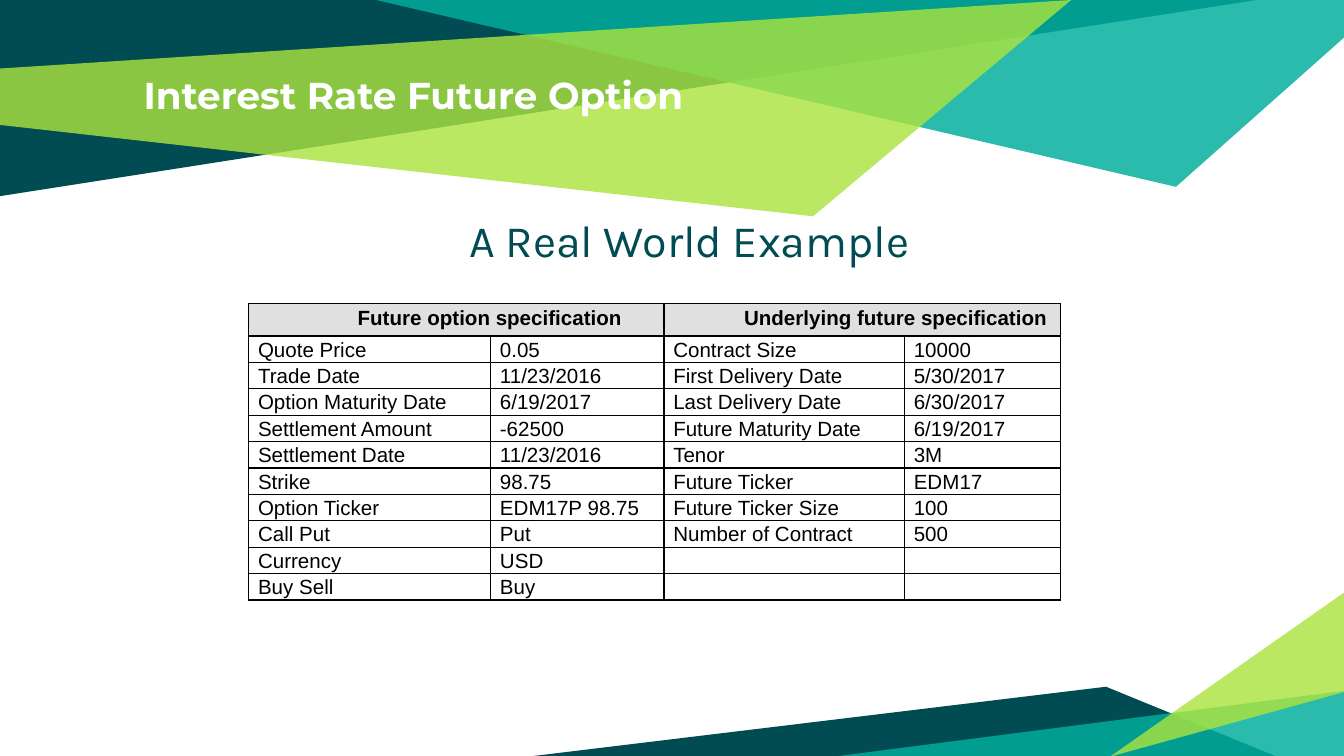
from lxml import etree
from pptx import Presentation
from pptx.dml.color import RGBColor
from pptx.enum.text import MSO_ANCHOR, PP_ALIGN
from pptx.oxml.ns import qn
from pptx.util import Inches, Pt

COLORS = {"dark": "004C52", "teal": "00AE9D", "lime": "ABE33F", "white": "FFFFFF",
          "black": "000000", "header": "E0E0E0"}
HEADERS = ["Future option specification", "Underlying future specification"]
ROWS = [
    ["Quote Price", "0.05", "Contract Size", "10000"],
    ["Trade Date", "11/23/2016", "First Delivery Date", "5/30/2017"],
    ["Option Maturity Date", "6/19/2017", "Last Delivery Date", "6/30/2017"],
    ["Settlement Amount", "-62500", "Future Maturity Date", "6/19/2017"],
    ["Settlement Date", "11/23/2016", "Tenor", "3M"],
    ["Strike", "98.75", "Future Ticker", "EDM17"],
    ["Option Ticker", "EDM17P 98.75", "Future Ticker Size", "100"],
    ["Call Put", "Put", "Number of Contract", "500"],
    ["Currency", "USD", "", ""],
    ["Buy Sell", "Buy", "", ""],
]
TOP_BAND = [
    ("dark", 100, [(0, 0), (0, 1.46), (9.35, 0)]),
    ("teal", 83, [(2.8, 0), (8.75, 1.39), (10, 0.28), (10, 0)]),
    ("lime", 81, [(0, 0.51), (0, 0.93), (6.05, 1.61), (7.97, 0)]),
]
BOTTOM_BAND = [
    ("dark", 100, [(0, 1.22), (5.57, 1.22), (4.3, 0.7)]),
    ("teal", 83, [(6.07, 0.73), (6.07, 1.22), (2.27, 1.22)]),
    ("lime", 81, [(6.07, 0.74), (6.07, 0), (4.33, 1.22)]),
]


def rgb(name):
    """Return the named palette colour."""
    return RGBColor.from_string(COLORS[name])


def add_band(slide, left, top, facets):
    """Draw overlapping facets whose points are relative to (left, top)."""
    for color, opacity, points in facets:
        corners = [(Inches(left + x), Inches(top + y)) for x, y in points]
        builder = slide.shapes.build_freeform(*corners[0], scale=1.0)
        builder.add_line_segments(corners[1:], close=True)
        facet = builder.convert_to_shape()
        facet.shadow.inherit = False
        facet.line.fill.background()
        facet.fill.solid()
        facet.fill.fore_color.rgb = rgb(color)
        if opacity < 100:
            fill_color = facet.fill._xPr.find(".//" + qn("a:srgbClr"))
            etree.SubElement(fill_color, qn("a:alpha"), val=str(opacity * 1000))


def write(paragraph, text, font, size, color, bold=False, indent=0, align=PP_ALIGN.LEFT):
    """Write one styled run into a paragraph, or size the paragraph if it is empty."""
    paragraph.alignment = align
    properties = paragraph._p.get_or_add_pPr()
    properties.set("marL", str(Inches(indent)))
    properties.set("indent", "0")
    if not text:
        etree.SubElement(paragraph._p, qn("a:endParaRPr"), sz=str(size * 100))
        return
    run = paragraph.add_run()
    run.text = text
    run.font.name, run.font.size, run.font.bold = font, Pt(size), bold
    run.font.color.rgb = rgb(color)


def add_text(slide, left, top, width, height, text, space_before=0, **style):
    """Add a wrapped, top-anchored text box with equal insets."""
    box = slide.shapes.add_textbox(Inches(left), Inches(top), Inches(width), Inches(height))
    frame = box.text_frame
    frame.word_wrap = True
    frame.vertical_anchor = MSO_ANCHOR.TOP
    frame.margin_left = frame.margin_right = Inches(0.1)
    frame.margin_top = frame.margin_bottom = Inches(0.1)
    frame.paragraphs[0].space_before = Pt(space_before)
    write(frame.paragraphs[0], text, **style)


def format_cell(cell, text, header=False):
    """Fill a cell with text, thin black borders and a background."""
    cell.margin_left = cell.margin_right = Inches(0.07)
    cell.margin_top = cell.margin_bottom = 0
    cell.vertical_anchor = MSO_ANCHOR.TOP if header else MSO_ANCHOR.MIDDLE
    properties = cell._tc.get_or_add_tcPr()
    for side in ("a:lnL", "a:lnR", "a:lnT", "a:lnB"):
        border = etree.SubElement(properties, qn(side), w=str(Pt(0.75)))
        fill = etree.SubElement(border, qn("a:solidFill"))
        etree.SubElement(fill, qn("a:srgbClr"), val=COLORS["black"])
    if header:
        cell.fill.solid()
        cell.fill.fore_color.rgb = rgb("header")
    else:
        cell.fill.background()
    paragraph = cell.text_frame.paragraphs[0]
    paragraph.line_spacing = 1.15 if header else 1.07
    write(paragraph, text, "Arial", 11, "black", bold=header, indent=0.5 if header else 0,
          align=PP_ALIGN.CENTER if header else PP_ALIGN.LEFT)


def add_specification(slide, left, top, widths):
    """Add the two-part specification table at (left, top)."""
    header_height, row_height = 0.24, 0.19
    frame = slide.shapes.add_table(
        len(ROWS) + 1, len(widths), Inches(left), Inches(top), Inches(sum(widths)),
        Inches(header_height + row_height * len(ROWS)))
    table = frame.table
    table.horz_banding = False
    for column, width in zip(table.columns, widths):
        column.width = Inches(width)
    for index, row in enumerate(table.rows):
        row.height = Inches(row_height if index else header_height)
    for index, text in enumerate(HEADERS):
        first, second = table.cell(0, 2 * index), table.cell(0, 2 * index + 1)
        first.merge(second)
        format_cell(first, text, header=True)
        format_cell(second, "", header=True)
    for r, values in enumerate(ROWS, 1):
        for c, text in enumerate(values):
            format_cell(table.cell(r, c), text)


def main():
    """Build and save the slide."""
    deck = Presentation()
    deck.slide_width, deck.slide_height = Inches(10), Inches(10) * 9 // 16
    slide = deck.slides.add_slide(deck.slide_layouts[6])
    add_band(slide, 0, 0, TOP_BAND)
    add_band(slide, 3.93, 4.41, BOTTOM_BAND)
    add_text(slide, 0.97, 0.44, 8.06, 0.64, "Interest Rate Future Option",
             font="Montserrat", size=20, color="white", bold=True)
    add_text(slide, 1.06, 1.48, 8.06, 3.54, "A Real World Example", space_before=6,
             font="Karla", size=24, color="dark", indent=0.08, align=PP_ALIGN.CENTER)
    add_specification(slide, 1.85, 2.26, [1.8, 1.29, 1.79, 1.16])
    deck.save("out.pptx")


main()
